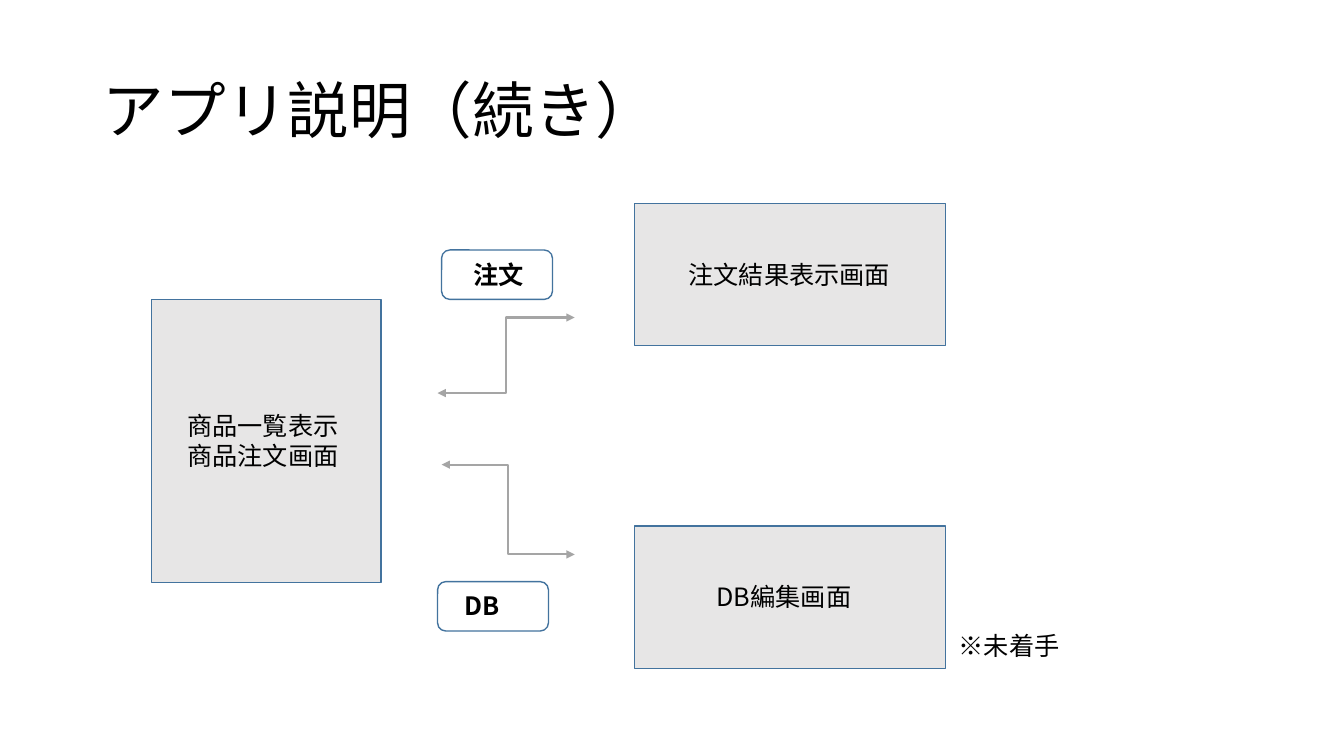
import pptx
import pptx.util
import pptx.dml.color
import pptx.enum.shapes
import pptx.enum.text
import pptx.oxml
import pptx.oxml.ns
import lxml.etree

Inches, Pt = pptx.util.Inches, pptx.util.Pt
SHAPE = pptx.enum.shapes.MSO_SHAPE
FONT = "Noto Sans CJK JP"
GREY, WHITE, BLUE, ARROW, BLACK = "E7E6E6", "FFFFFF", "43739E", "A5A5A5", "000000"

# Content: lines of text, box (left, top, width, height), label box
TITLE = "アプリ説明（続き）"
TITLE_BOX = (0.92, 0.4, 11.5, 1.45)
SCREEN, BUTTON = (3.09, 1.41), (1.1, 0.49)
LINE_H = 0.4
LIST_SCREEN = (["商品一覧表示", "商品注文画面"], (1.5, 2.97, 2.28, 2.81), (1.76, 4.02, 1.78, 0.71))
RESULT_SCREENS = [
    (["注文結果表示画面"], (6.29, 2.02, *SCREEN), (6.73, 2.52, 2.41, LINE_H)),
    (["DB編集画面"], (6.29, 5.22, *SCREEN), (7.01, 5.72, 1.66, LINE_H)),
]
BUTTONS = [
    (["注文"], (4.38, 2.48, *BUTTON), (4.6, 2.52, 0.84, LINE_H)),
    (["DB"], (4.34, 5.77, *BUTTON), (4.51, 5.81, 0.84, LINE_H)),
]
ARROWS = [((4.34, 3.9), (5.7, 3.15)), ((4.38, 4.61), (5.7, 5.5))]
NOTE = (["※未着手"], (9.41, 6.2, 1.67, LINE_H))


def color(value):
    return pptx.dml.color.RGBColor.from_string(value)


def inches(values):
    return [Inches(v) for v in values]


def add_run(p, text, size=18, bold=False):
    r = p.add_run()
    r.text = text
    for name, value in {"name": FONT, "size": Pt(size), "bold": bold}.items():
        setattr(r.font, name, value)
    r.font.color.rgb = color(BLACK)
    ea = lxml.etree.SubElement(r.font._element, pptx.oxml.ns.qn("a:ea"))
    ea.set("typeface", FONT)


def add_text(shapes, lines, box, bold=False):
    tf = shapes.add_textbox(*inches(box)).text_frame
    tf.word_wrap = True
    for i, line in enumerate(lines):
        p = tf.add_paragraph() if i else tf.paragraphs[0]
        add_run(p, line, bold=bold)


def add_labelled(kind, fill, lines, box, label_box, bold=False):
    shapes = slide.shapes.add_group_shape().shapes
    sp = shapes.add_shape(kind, *inches(box))
    sp.shadow.inherit = False
    sp.fill.solid()
    sp.fill.fore_color.rgb = color(fill)
    sp.line.color.rgb = color(BLUE)
    sp.line.width = Pt(1)
    add_text(shapes, lines, label_box, bold)


def add_arrow(start, end):
    c = slide.shapes.add_connector(
        pptx.enum.shapes.MSO_CONNECTOR.ELBOW, *inches(start + end))
    c.line.color.rgb = color(ARROW)
    c.line.width = Pt(1.5)
    ln = c.line._get_or_add_ln()
    for tag in ("a:headEnd", "a:tailEnd"):
        lxml.etree.SubElement(ln, pptx.oxml.ns.qn(tag)).set("type", "triangle")
    lxml.etree.SubElement(c._element.spPr, pptx.oxml.ns.qn("a:effectLst"))


prs = pptx.Presentation()
prs.slide_width, prs.slide_height = inches((13.33, 7.5))
slide = prs.slides.add_slide(prs.slide_layouts[5])

# Title
title = slide.shapes.title
for name, value in zip(("left", "top", "width", "height"), inches(TITLE_BOX)):
    setattr(title, name, value)
tf = title.text_frame
for name, value in {"word_wrap": True,
                    "auto_size": pptx.enum.text.MSO_AUTO_SIZE.NONE,
                    "vertical_anchor": pptx.enum.text.MSO_ANCHOR.MIDDLE}.items():
    setattr(tf, name, value)
p = tf.paragraphs[0]
p.alignment = pptx.enum.text.PP_ALIGN.LEFT
p.line_spacing = 0.9
add_run(p, TITLE, size=44)

# Screens, transitions and buttons
add_labelled(SHAPE.RECTANGLE, GREY, *LIST_SCREEN)
for start, end in ARROWS:
    add_arrow(start, end)
for button in BUTTONS:
    add_labelled(SHAPE.ROUNDED_RECTANGLE, WHITE, *button, bold=True)
for screen in RESULT_SCREENS:
    add_labelled(SHAPE.RECTANGLE, GREY, *screen)

# Status note
add_text(slide.shapes, *NOTE)

prs.save("out.pptx")
